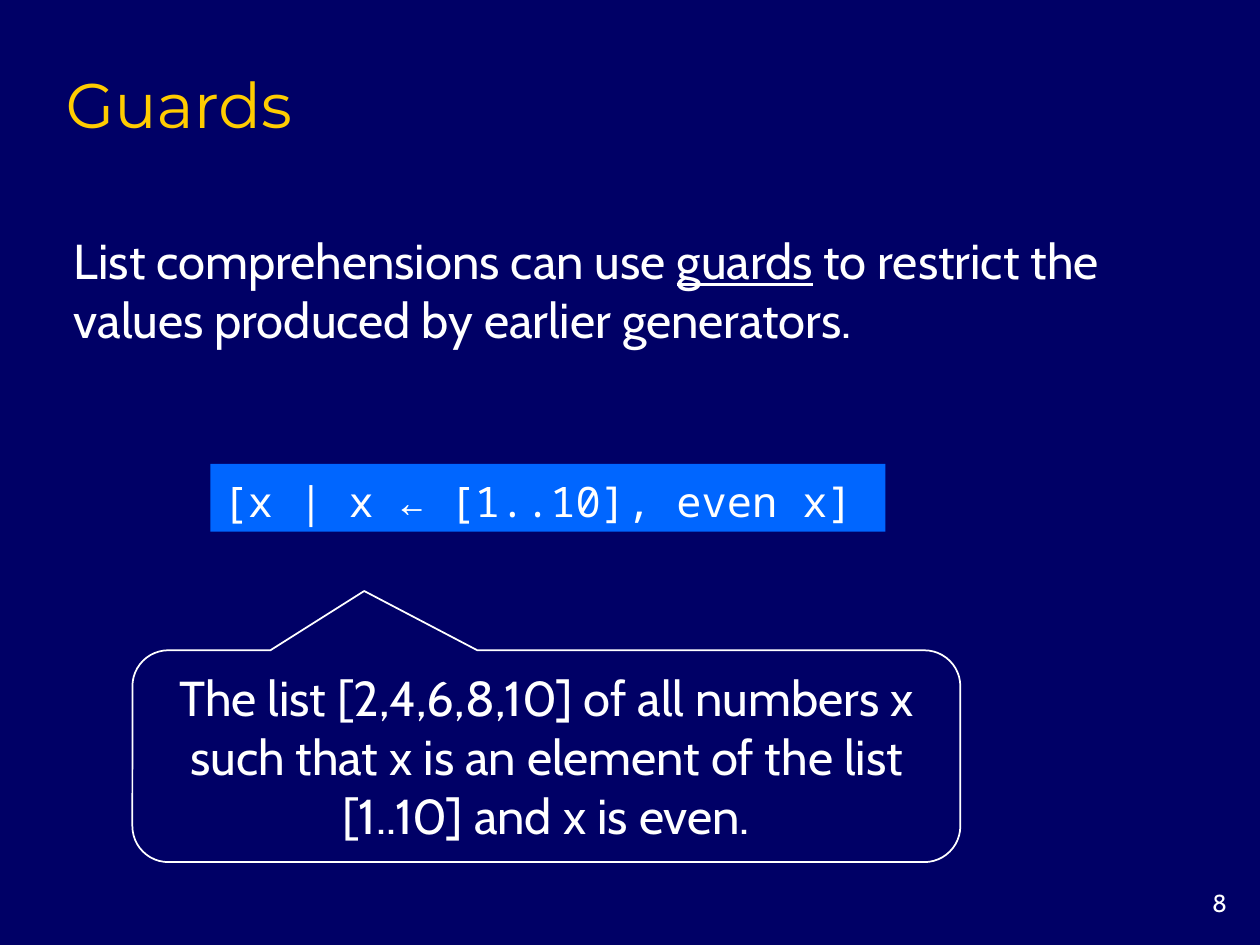
"""Build a slide that introduces guards in list comprehensions."""
import dataclasses

import pptx
import pptx.dml.color
import pptx.enum.shapes
import pptx.enum.text
import pptx.util

Cm = pptx.util.Cm
Align = pptx.enum.text.PP_ALIGN
Anchor = pptx.enum.text.MSO_ANCHOR
Shapes = pptx.enum.shapes.MSO_SHAPE


@dataclasses.dataclass(frozen=True)
class Theme:
    """Hold the colours, fonts and type sizes of the slide."""
    background: str = "000066"
    title: str = "FFCC00"
    text: str = "FFFFFF"
    code_fill: str = "0066FF"
    title_font: str = "Montserrat"
    body_font: str = "Cabin"
    code_font: str = "Noto Sans Mono"
    title_size: int = 36
    body_size: int = 28
    code_size: int = 24
    number_size: int = 14


THEME = Theme()


def color(value):
    """Turn a hexadecimal string into a colour."""
    return pptx.dml.color.RGBColor.from_string(value)


def place(shape, box):
    """Move and size a shape from left, top, width and height in centimetres."""
    shape.left, shape.top, shape.width, shape.height = map(Cm, box)


def write(shape, parts, font, size, text_color=THEME.text, align=Align.LEFT,
          anchor=Anchor.MIDDLE, wrap=True, grow=True):
    """Write one paragraph from text parts and format its runs."""
    frame = shape.text_frame
    frame.word_wrap = wrap
    frame.vertical_anchor = anchor
    fit = pptx.enum.text.MSO_AUTO_SIZE
    frame.auto_size = fit.SHAPE_TO_FIT_TEXT if grow else fit.NONE
    paragraph = frame.paragraphs[0]
    paragraph.alignment = align
    for part in parts:
        run = paragraph.add_run()
        run.text = part
        run.font.name = font
        run.font.size = pptx.util.Pt(size)
        run.font.color.rgb = color(text_color)
    return paragraph


def add_title(slide, text, box):
    """Place and fill the title placeholder."""
    title = slide.shapes.title
    place(title, box)
    write(title, [text], THEME.title_font, THEME.title_size, THEME.title,
          anchor=Anchor.BOTTOM, grow=False)


def add_text(slide, parts, box, size, **options):
    """Add a wrapped text box in the body font."""
    text_box = slide.shapes.add_textbox(*map(Cm, box))
    return write(text_box, parts, THEME.body_font, size, **options)


def add_panel(slide, kind, box):
    """Add a preset shape without shadow, fill or line."""
    panel = slide.shapes.add_shape(kind, *map(Cm, box))
    panel.shadow.inherit = False
    panel.fill.background()
    panel.line.fill.background()
    return panel


def add_code(slide, text, box):
    """Add a filled strip of code."""
    strip = add_panel(slide, Shapes.RECTANGLE, box)
    strip.fill.solid()
    strip.fill.fore_color.rgb = color(THEME.code_fill)
    paragraph = write(strip, [text], THEME.code_font, THEME.code_size, wrap=False)
    paragraph.line_spacing = 1.1


def add_callout(slide, text, box, adjustments):
    """Add an outlined rounded callout with centred text."""
    callout = add_panel(slide, Shapes.ROUNDED_RECTANGULAR_CALLOUT, box)
    for index, value in enumerate(adjustments):
        callout.adjustments[index] = value
    callout.line.color.rgb = color(THEME.text)
    callout.line.width = pptx.util.Pt(1)
    write(callout, [text], THEME.body_font, THEME.body_size, align=Align.CENTER)


def main():
    """Build and save the presentation."""
    presentation = pptx.Presentation()
    presentation.slide_width, presentation.slide_height = Cm(25.4), Cm(19.05)
    slide = presentation.slides.add_slide(presentation.slide_layouts[5])
    slide.background.fill.solid()
    slide.background.fill.fore_color.rgb = color(THEME.background)

    add_text(slide, ["8"], (23.29, 17.78, 1.7, 0.84), THEME.number_size,
             align=Align.RIGHT, anchor=Anchor.TOP, grow=False)
    add_title(slide, "Guards", (1.07, 1.07, 21.59, 1.9))
    statement = add_text(
        slide,
        ["List comprehensions can use ", "guards",
         " to restrict the values produced by earlier generators."],
        (1.24, 4.52, 22.81, 2.62), THEME.body_size)
    statement.runs[1].font.underline = True
    add_code(slide, "[x | x ← [1..10], even x]", (4.24, 9.35, 13.61, 1.37))
    add_callout(
        slide,
        "The list [2,4,6,8,10] of all numbers x such that x is an element "
        "of the list [1..10] and x is even.",
        (2.67, 13.11, 16.69, 4.27), (-0.22, -0.78, 0.17))
    presentation.save("out.pptx")


main()
